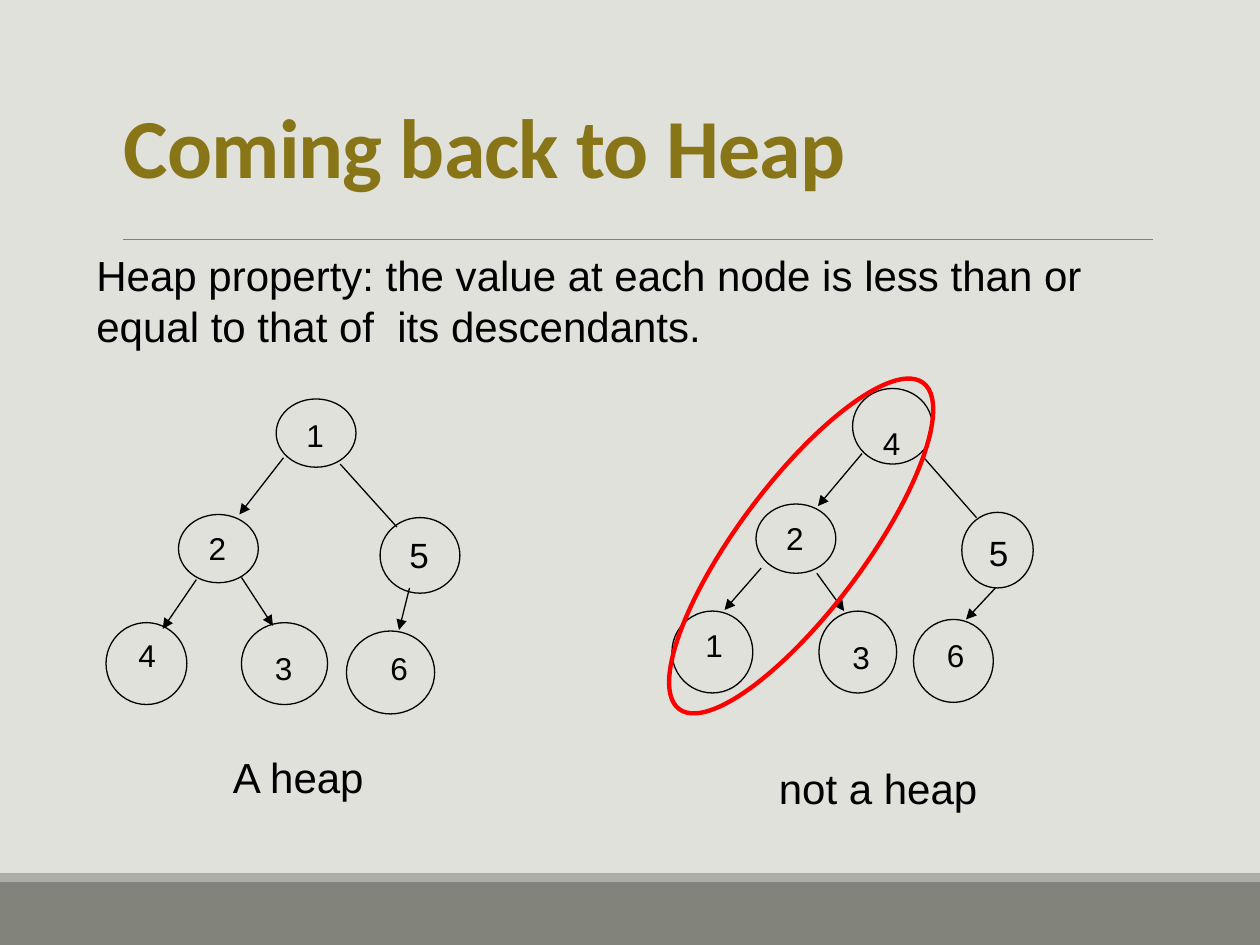
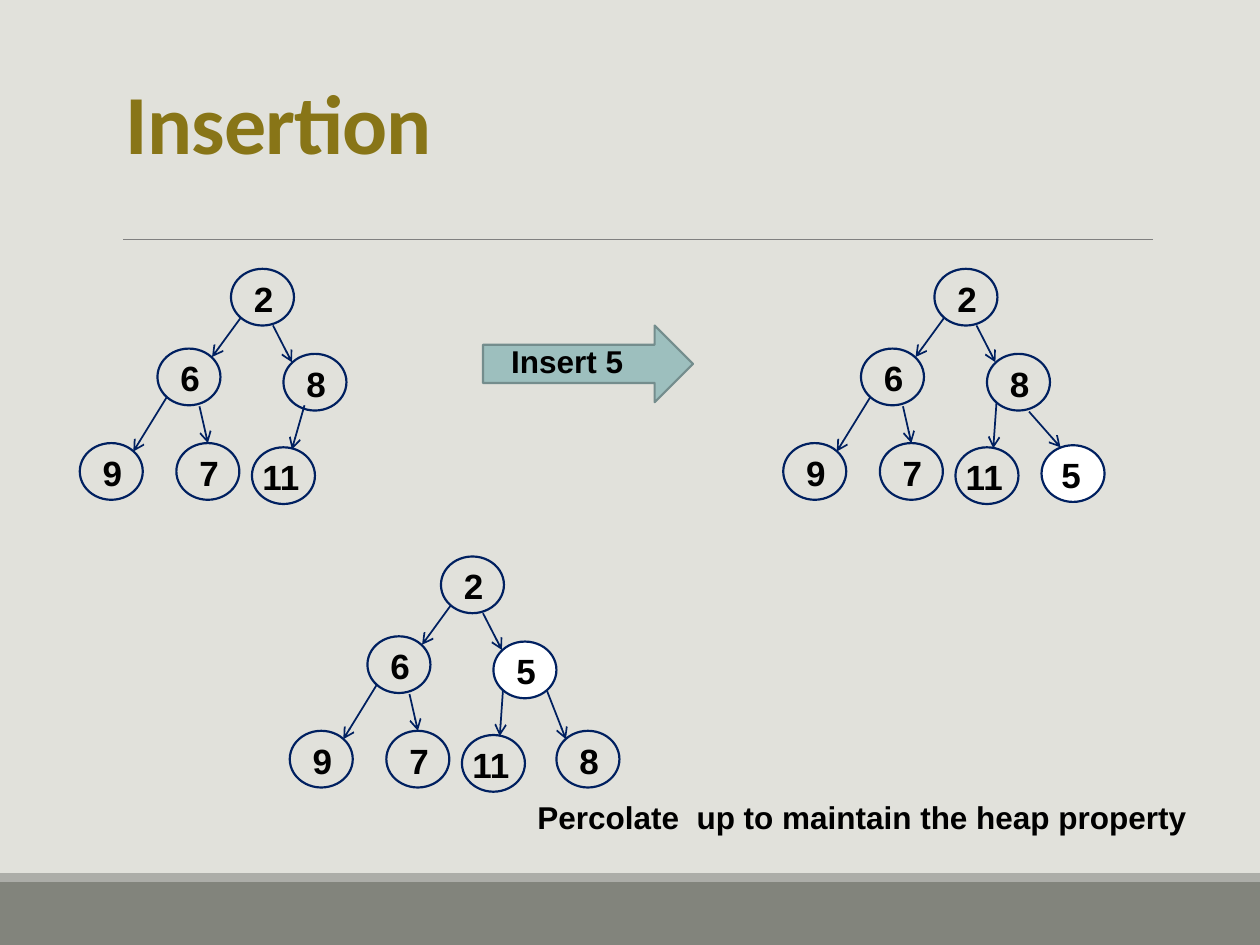
from dataclasses import dataclass

from lxml.etree import SubElement
from pptx import Presentation
from pptx.dml.color import RGBColor
from pptx.enum.shapes import MSO_CONNECTOR as Connector, MSO_SHAPE as Shape
from pptx.enum.text import MSO_ANCHOR as Anchor
from pptx.oxml.ns import qn
from pptx.util import Inches, Pt

COLUMNS, ROWS = 120, 90


@dataclass(frozen=True)
class Theme:
    background: str = "E1E1DB"
    footer: str = "82847C"
    footer_edge: str = "ACADA8"
    rule: str = "808080"
    title: str = "887517"
    ink: str = "000000"
    navy: str = "002060"
    highlight: str = "FFFFFF"
    warning: str = "FF0000"
    arrow: str = "9DBFBE"
    arrow_edge: str = "748D8D"
    title_font: str = "Calibri"
    body_font: str = "Arial"
    title_size: int = 48
    body_size: int = 24
    node_size: int = 20
    small_size: int = 18


class Painter:
    """Draws on the current page; lengths are columns and rows of the grid."""

    def __init__(self, deck, theme):
        self.deck, self.theme, self.page = deck, theme, None

    def across(self, columns):
        return round(self.deck.slide_width * columns / COLUMNS)

    def down(self, rows):
        return round(self.deck.slide_height * rows / ROWS)

    def frame(self, left, top, width, height):
        return self.across(left), self.down(top), self.across(width), self.down(height)

    def new_page(self, title, title_frame):
        theme = self.theme
        self.page = self.deck.slides.add_slide(self.deck.slide_layouts[6])
        fill = self.page.background.fill
        fill.solid()
        fill.fore_color.rgb = RGBColor.from_string(theme.background)
        self.shape(Shape.RECTANGLE, (0, 84, COLUMNS, 6), fill=theme.footer)
        self.shape(Shape.RECTANGLE, (0, 83.15, COLUMNS, 0.85), fill=theme.footer_edge)
        self.line((11.75, 22.8), (109.8, 22.8), theme.rule, 0.5)
        para = self.text(title, title_frame, theme.title_size, theme.title, True,
                         theme.title_font, Anchor.BOTTOM)
        para.line_spacing = 0.85
        para.runs[0].font._element.set("spc", "-50")

    def shape(self, kind, frame, fill=None, line=None, weight=1.0, turn=0):
        shape = self.page.shapes.add_shape(kind, *self.frame(*frame))
        shape.shadow.inherit = False
        shape.rotation = turn
        if fill:
            shape.fill.solid()
            shape.fill.fore_color.rgb = RGBColor.from_string(fill)
        else:
            shape.fill.background()
        if line:
            shape.line.color.rgb = RGBColor.from_string(line)
            shape.line.width = Pt(weight)
        else:
            shape.line.fill.background()

    def line(self, start, end, color, weight, head=None):
        link = self.page.shapes.add_connector(
            Connector.STRAIGHT, self.across(start[0]), self.down(start[1]),
            self.across(end[0]), self.down(end[1]))
        link.line.color.rgb = RGBColor.from_string(color)
        link.line.width = Pt(weight)
        if head:
            SubElement(link.line._get_or_add_ln(), qn("a:tailEnd"), type=head)
        SubElement(link._element.spPr, qn("a:effectLst"))

    def text(self, words, frame, size, color=None, bold=False, font=None,
             anchor=Anchor.TOP, wrap=True):
        box = self.page.shapes.add_textbox(*self.frame(*frame)).text_frame
        box.word_wrap, box.vertical_anchor = wrap, anchor
        para = box.paragraphs[0]
        span = para.add_run()
        span.text = words
        span.font.name = font or self.theme.body_font
        span.font.size, span.font.bold = Pt(size), bold
        span.font.color.rgb = RGBColor.from_string(color or self.theme.ink)
        return para

    def label(self, words, left, top, width, size, bold=False, wrap=True):
        """Place a single line of text in a box as tall as the line."""
        height = size / 5 + 1.2
        self.text(words, (left, top, width, height), size, bold=bold, wrap=wrap)


# Root, left child, right child, then the leaves from right to left child
LABEL_WIDTHS = (13.4, 8.4, 6.2, 10, 6.4, 12)

# Nodes: value, circle frame, label corner. Edges: start, end, in the order
# root-left, root-right, left-left leaf, left-right leaf, right-leaf.
VALID_HEAP = (
    [("1", (26.3, 38, 7.6, 6.5), (28, 39)),
     ("2", (17, 49, 7.6, 6.5), (18.7, 49.8)),
     ("5", (36.2, 49.3, 7.6, 7.2), (37.8, 50.2)),
     ("6", (33, 60.1, 8.4, 7.9), (36, 61.2)),
     ("4", (10.1, 59.3, 7.7, 7.8), (12, 60)),
     ("3", (23, 59.3, 8.2, 7.8), (25, 61.2))],
    [((27, 43.6), (22.8, 49)), ((32.4, 44.2), (37.8, 50.2)),
     ((18.7, 55.2), (15.5, 59.9)), ((23, 55), (26, 59.6)), ((39, 56), (38, 60))],
)
BROKEN_HEAP = (
    [("4", (81.2, 37, 7.6, 7.2), (82.9, 39.8)),
     ("2", (72, 48, 7.6, 6.6), (73.7, 48.8)),
     ("5", (91.6, 48.8, 6.8, 7.2), (93, 50)),
     ("6", (87, 59, 7.6, 7.9), (89, 60)),
     ("1", (64, 58.2, 7.7, 7.8), (66, 59)),
     ("3", (78, 58.2, 7.4, 7.8), (80, 60.2))],
    [((82.1, 43.2), (77.9, 48.2)), ((88, 43.6), (93, 49.3)),
     ((72.5, 54.1), (69, 58.1)), ((77.8, 54.6), (80.4, 58.2)),
     ((94.8, 56), (92, 59))],
)

# Insertion trees: places relative to the root circle's corner
NODE_PLACES = [(0, 0), (-7, 7.6), (5, 8.1), (-14.4, 16.6), (-5.2, 16.6), (2, 17)]
SHARED_EDGES = [((0.9, 4.7), (-1.8, 8.4)), ((4, 5.4), (5.8, 8.9)),
                ((-6.1, 12.2), (-9.3, 17.4)), ((-3, 13.1), (-2.2, 16.6))]
STEEP_EDGE = ((5.9, 12.8), (5.6, 17.1))
INSERTION_STEPS = [
    # root corner, values, last leaf place, edges of the right child
    ((22, 25.6), "2 6 8 9 7 11", None, [((7, 13), (5.8, 17.2))]),
    ((89, 25.6), "2 6 8 9 7 11 5", (10.2, 16.8),
     [STEEP_EDGE, ((9, 13.6), (12, 17))]),
    ((42, 53), "2 6 5 9 7 11 8", (11, 16.6),
     [STEEP_EDGE, ((10.1, 12.8), (11.9, 17.4))]),
]
INSERTED = "5"


def draw_heap(painter, nodes, edges):
    theme = painter.theme
    for (value, circle, corner), width in zip(nodes, LABEL_WIDTHS):
        painter.shape(Shape.OVAL, circle, line=theme.ink, weight=0.75)
        size = theme.node_size if value == "5" else theme.small_size
        painter.label(value, *corner, width, size)
    for index, (start, end) in enumerate(edges):
        head = None if index == 1 else "triangle"
        painter.line(start, end, theme.ink, 0.75, head)


def draw_insertion_step(painter, root, values, last_place, right_edges):
    theme = painter.theme

    def shift(place):
        return root[0] + place[0], root[1] + place[1]

    for value, place in zip(values.split(), NODE_PLACES + [last_place]):
        left, top = shift(place)
        fill = theme.highlight if value == INSERTED else None
        painter.shape(Shape.OVAL, (left, top, 6, 5.4), fill, theme.navy, 1.25)
        inset, width = (-0.2, 7.2) if len(value) > 1 else (1, 6)
        if value == INSERTED and place == last_place:
            inset = 0.7
        painter.label(value, left + inset, top + 0.2, width, theme.node_size, True)
    for start, end in SHARED_EDGES + right_edges:
        painter.line(shift(start), shift(end), theme.navy, 1, "arrow")


def heap_page(painter):
    theme = painter.theme
    painter.new_page("Coming back to Heap", (10.6, 0.1, 99, 19.1))
    painter.text("Heap property: the value at each node is less than or equal "
                 "to that of  its descendants.", (8, 23.2, 104, 10.8), theme.body_size)
    for heap in (BROKEN_HEAP, VALID_HEAP):
        draw_heap(painter, *heap)
    painter.label("not a heap", 73, 72, 31, theme.body_size)
    painter.label("A heap", 21, 71, 31, theme.body_size)
    painter.shape(Shape.OVAL, (70.3, 32.6, 12, 38.8), line=theme.warning,
                  weight=2.5, turn=36.8)


def insertion_page(painter):
    theme = painter.theme
    painter.new_page("Insertion", (10.8, 3.7, 99, 13.2))
    painter.shape(Shape.RIGHT_ARROW, (46, 31, 20, 7.3), theme.arrow,
                  theme.arrow_edge, 1.25)
    for step in INSERTION_STEPS:
        draw_insertion_step(painter, *step)
    painter.label("Insert 5", 47.5, 32, 13.2, theme.small_size, True, wrap=False)
    painter.label("Percolate  up to maintain the heap property", 50, 75.4, 68,
                  theme.small_size, True)


def main():
    deck = Presentation()
    deck.slide_width, deck.slide_height = Inches(10), Inches(7.5)
    painter = Painter(deck, Theme())
    heap_page(painter)
    insertion_page(painter)
    deck.save("out.pptx")


if __name__ == "__main__":
    main()
